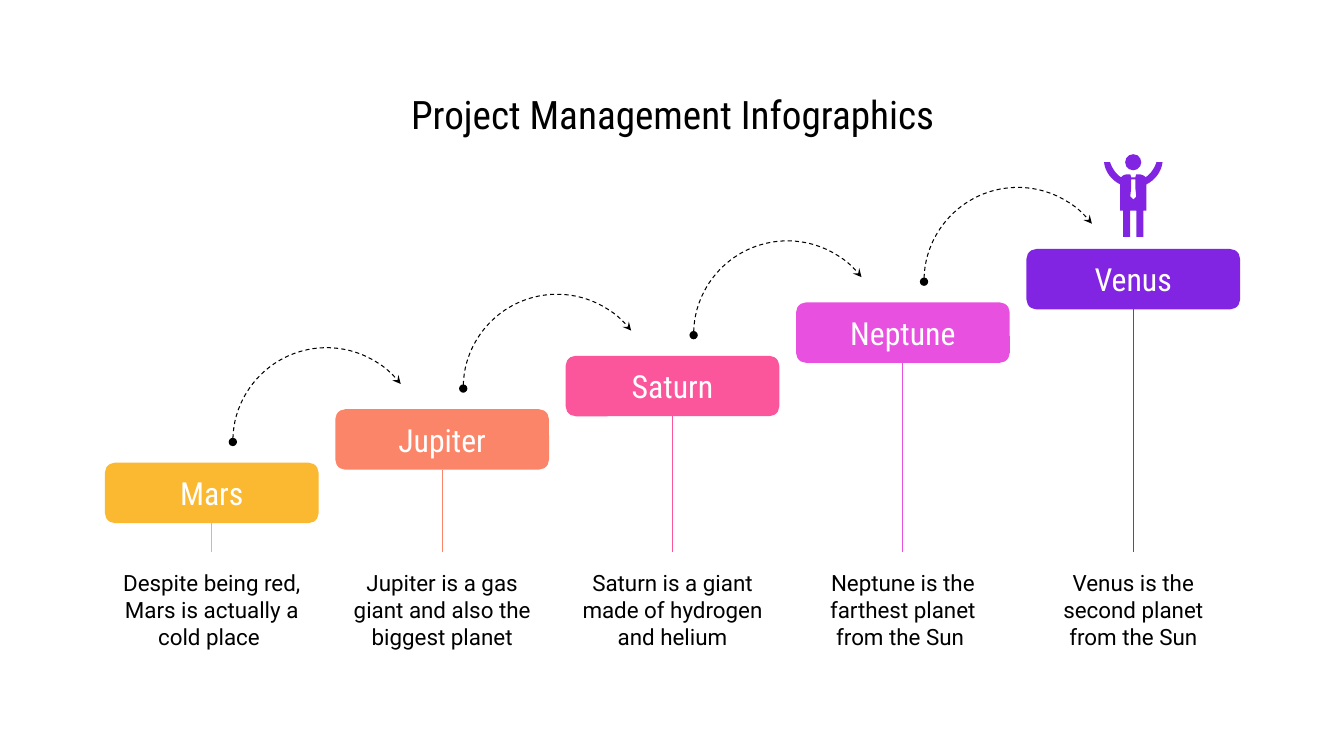
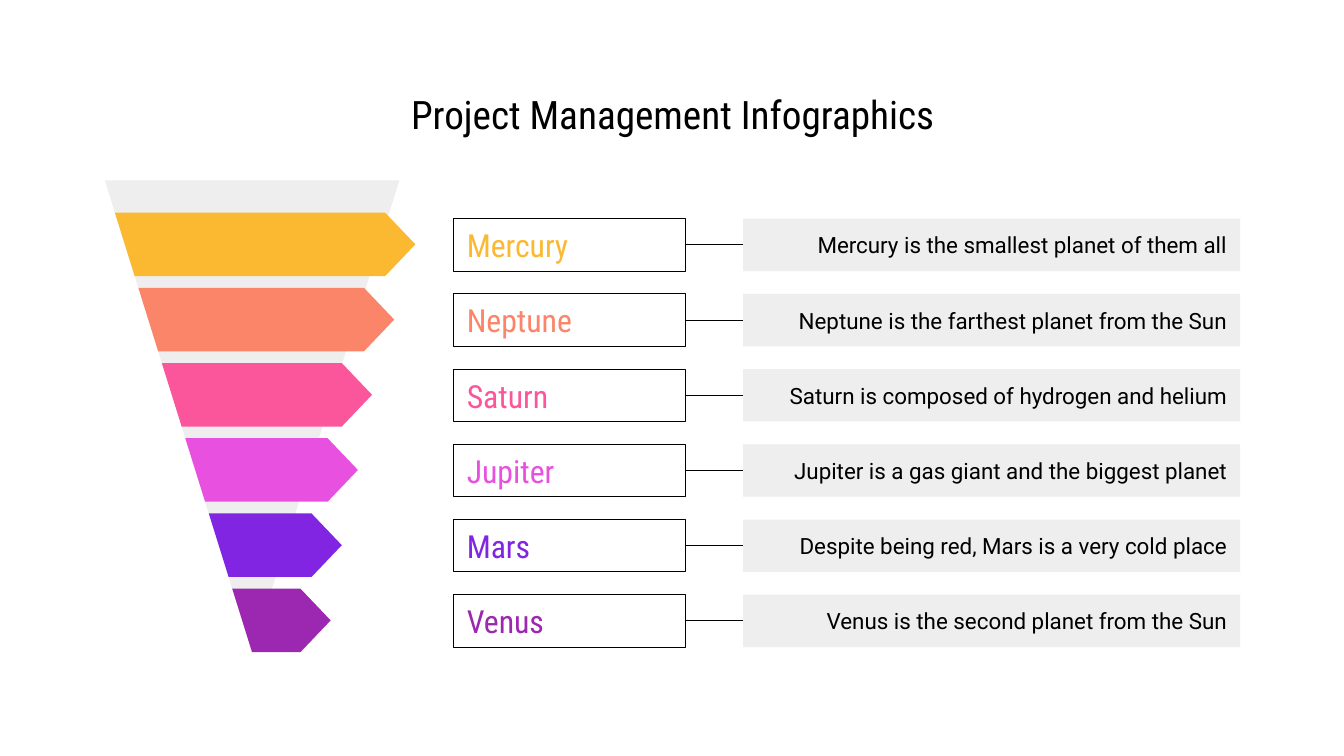
from lxml.etree import SubElement
from pptx import Presentation
from pptx.dml.color import RGBColor
from pptx.enum.dml import MSO_LINE
from pptx.enum.shapes import MSO_CONNECTOR as Link, MSO_SHAPE as Preset
from pptx.enum.text import MSO_ANCHOR as Anchor, PP_ALIGN as Align
from pptx.oxml.ns import qn
from pptx.util import Inches, Pt

COLORS = {
    "ink": "000000", "white": "FFFFFF", "gray": "EEEEEE",
    "yellow": "FBB831", "coral": "FB8569", "pink": "FB569C",
    "magenta": "E850E0", "violet": "8225E2", "purple": "9C27B0",
}
HEADING, BODY = "Roboto Condensed", "Roboto"
LEFT, RIGHT = 1.04, 12.3

STEPS = [
    ("Mars", "yellow", "Despite being red, Mars is actually a cold place "),
    ("Jupiter", "coral", "Jupiter is a gas giant and also the biggest planet"),
    ("Saturn", "pink", "Saturn is a giant made of hydrogen and helium"),
    ("Neptune", "magenta", "Neptune is the farthest planet\nfrom the Sun "),
    ("Venus", "violet", "Venus is the second planet from the Sun"),
]
LEVELS = [
    ("Mercury", "yellow", 4.12, "Mercury is the smallest planet of them all"),
    ("Neptune", "coral", 3.91, "Neptune is the farthest planet from the Sun"),
    ("Saturn", "pink", 3.69, "Saturn is composed of hydrogen and helium"),
    ("Jupiter", "magenta", 3.55, "Jupiter is a gas giant and the biggest planet"),
    ("Mars", "violet", 3.39, "Despite being red, Mars is a very cold place"),
    ("Venus", "purple", 3.28, "Venus is the second planet from the Sun"),
]


def rgb(name):
    return RGBColor.from_string(COLORS[name])


def curve(p0, p1, p2, p3, pieces=8):
    points = []
    for n in range(pieces + 1):
        t = n / pieces
        weights = ((1 - t) ** 3, 3 * t * (1 - t) ** 2, 3 * t * t * (1 - t), t ** 3)
        points.append(tuple(sum(w * p[axis] for w, p in zip(weights, (p0, p1, p2, p3)))
                            for axis in (0, 1)))
    return points


def mirrored(half, center):
    return ([(center + dx, y) for dx, y in half]
            + [(center - dx, y) for dx, y in reversed(half)])


class Deck:
    """Hold the shared style and the current slide, and draw each kind of element."""

    def __init__(self):
        self.prs = Presentation()
        self.prs.slide_width, self.prs.slide_height = Inches(13.33), Inches(7.5)

    def new_slide(self, title):
        self.shapes = self.prs.slides.add_slide(self.prs.slide_layouts[6]).shapes
        self.text(LEFT, 0.78, RIGHT - LEFT, 0.7, title, 28, HEADING)

    def style(self, shape, fill=None, line=None):
        shape.shadow.inherit = False
        if fill:
            shape.fill.solid()
            shape.fill.fore_color.rgb = rgb(fill)
        else:
            shape.fill.background()
        if line:
            self.stroke(shape, line)
        else:
            shape.line.fill.background()
        return shape

    def stroke(self, shape, color):
        shape.line.color.rgb = rgb(color)
        shape.line.width = Pt(0.75)

    def fill_text(self, shape, text, size, font, color, align):
        frame = shape.text_frame
        frame.word_wrap = True
        frame.vertical_anchor = Anchor.MIDDLE
        frame.margin_left = frame.margin_right = Inches(0.13)
        frame.margin_top = frame.margin_bottom = Inches(0.13)
        paragraph = frame.paragraphs[0]
        paragraph.alignment = align
        for n, part in enumerate(text.split("\n")):
            if n:
                paragraph.add_line_break()
            run = paragraph.add_run()
            run.text = part
            run.font.size, run.font.name = Pt(size), font
            run.font.color.rgb = rgb(color)

    def text(self, x, y, w, h, text, size=16, font=BODY):
        box = self.shapes.add_textbox(*map(Inches, (x, y, w, h)))
        self.fill_text(box, text, size, font, "ink", Align.CENTER)

    def shape(self, preset, x, y, w, h, fill=None, line=None):
        shape = self.shapes.add_shape(preset, *map(Inches, (x, y, w, h)))
        return self.style(shape, fill, line)

    def box(self, preset, place, text, size, font, color, align, fill=None, line=None):
        box = self.shape(preset, *place, fill, line)
        self.fill_text(box, text, size, font, color, align)
        return box

    def outline(self, fill, *contours):
        builder = None
        for contour in contours:
            first, *rest = [(Inches(x), Inches(y)) for x, y in contour]
            if builder is None:
                builder = self.shapes.build_freeform(*first, scale=1.0)
            else:
                builder.move_to(*first)
            builder.add_line_segments(rest, close=True)
        self.style(builder.convert_to_shape(), fill)

    def connect(self, color, start, start_side, end, end_side=None):
        link = self.shapes.add_connector(Link.STRAIGHT, 0, 0, 0, 0)
        link.begin_connect(start, start_side)
        if end_side is None:
            link.end_x, link.end_y = map(Inches, end)
        else:
            link.end_connect(end, end_side)
        self.stroke(link, color)
        SubElement(link._element.spPr, qn("a:effectLst"))

    def jump(self, x, y, size):
        arc = self.shape(Preset.ARC, x, y, size, size, line="ink")
        arc.adjustments[0], arc.adjustments[1] = 107.8, 193.31
        arc.line.dash_style = MSO_LINE.DASH
        ends = arc.line._get_or_add_ln()
        SubElement(ends, qn("a:headEnd"), type="oval")
        SubElement(ends, qn("a:tailEnd"), type="stealth")

    def winner(self, center, color):
        self.shape(Preset.OVAL, center - 0.08, 1.53, 0.16, 0.16, color)
        body = [
            (-0.02, 1.76), (-0.03, 1.73),
            *curve((-0.05, 1.73), (-0.08, 1.73), (-0.11, 1.74), (-0.12, 1.76)),
            *curve((-0.12, 1.76), (-0.17, 1.73), (-0.21, 1.67), (-0.23, 1.61)),
            *curve((-0.29, 1.61), (-0.28, 1.71), (-0.21, 1.79), (-0.13, 1.83)),
            (-0.13, 2.09), (-0.1, 2.09), (-0.1, 2.35), (-0.03, 2.35), (-0.03, 2.09),
        ]
        tie = [(-0.02, 1.78), (-0.02, 1.86), (-0.03, 1.95), (0, 1.98)]
        self.outline(color, mirrored(body, center), mirrored(tie, center))


def staircase(deck):
    deck.new_slide("Project Management Infographics")
    width, height = 2.12, 0.6
    stride = (RIGHT - width - LEFT) / (len(STEPS) - 1)
    for n, (planet, color, fact) in enumerate(STEPS):
        x, y = LEFT + n * stride, 4.59 - n * 0.53
        center = x + width / 2
        step = deck.box(Preset.ROUNDED_RECTANGLE, (x, y, width, height), planet,
                        22.7, HEADING, "white", Align.CENTER, fill=color)
        deck.connect(color, step, 2, (center, 5.48))
        deck.text(x, 5.59, width, 0.92, fact)
        if n < len(STEPS) - 1:
            deck.jump(x + 1.27, y - 1.14, 1.86)
    deck.winner(center, color)


def funnel(deck):
    deck.new_slide("Project Management Infographics")
    top, bottom, apex, band = 1.79, 6.47, 2.5, 0.63
    first = 2.11
    pitch = (bottom - band - first) / (len(LEVELS) - 1)
    deck.outline("gray", [(LEFT, top), (2 * apex - LEFT, top), (apex, bottom)])

    def edge(y):
        return LEFT + (apex - LEFT) * (y - top) / (bottom - top)

    for n, (planet, color, tip, fact) in enumerate(LEVELS):
        y = first + n * pitch
        end = y + band
        shoulder = tip - 0.3
        deck.outline(color, [(edge(y), y), (edge(end), end), (shoulder, end),
                             (tip, y + band / 2), (shoulder, y)])
        row = y + 0.06
        label = deck.box(Preset.RECTANGLE, (4.5, row, 2.3, 0.52), planet,
                         22.7, HEADING, color, Align.LEFT, line="ink")
        detail = deck.box(Preset.RECTANGLE, (7.37, row, RIGHT - 7.37, 0.52), fact,
                          16, BODY, "ink", Align.RIGHT, fill="gray")
        deck.connect("ink", label, 3, detail, 1)


def main():
    deck = Deck()
    staircase(deck)
    funnel(deck)
    deck.prs.save("out.pptx")


if __name__ == "__main__":
    main()
